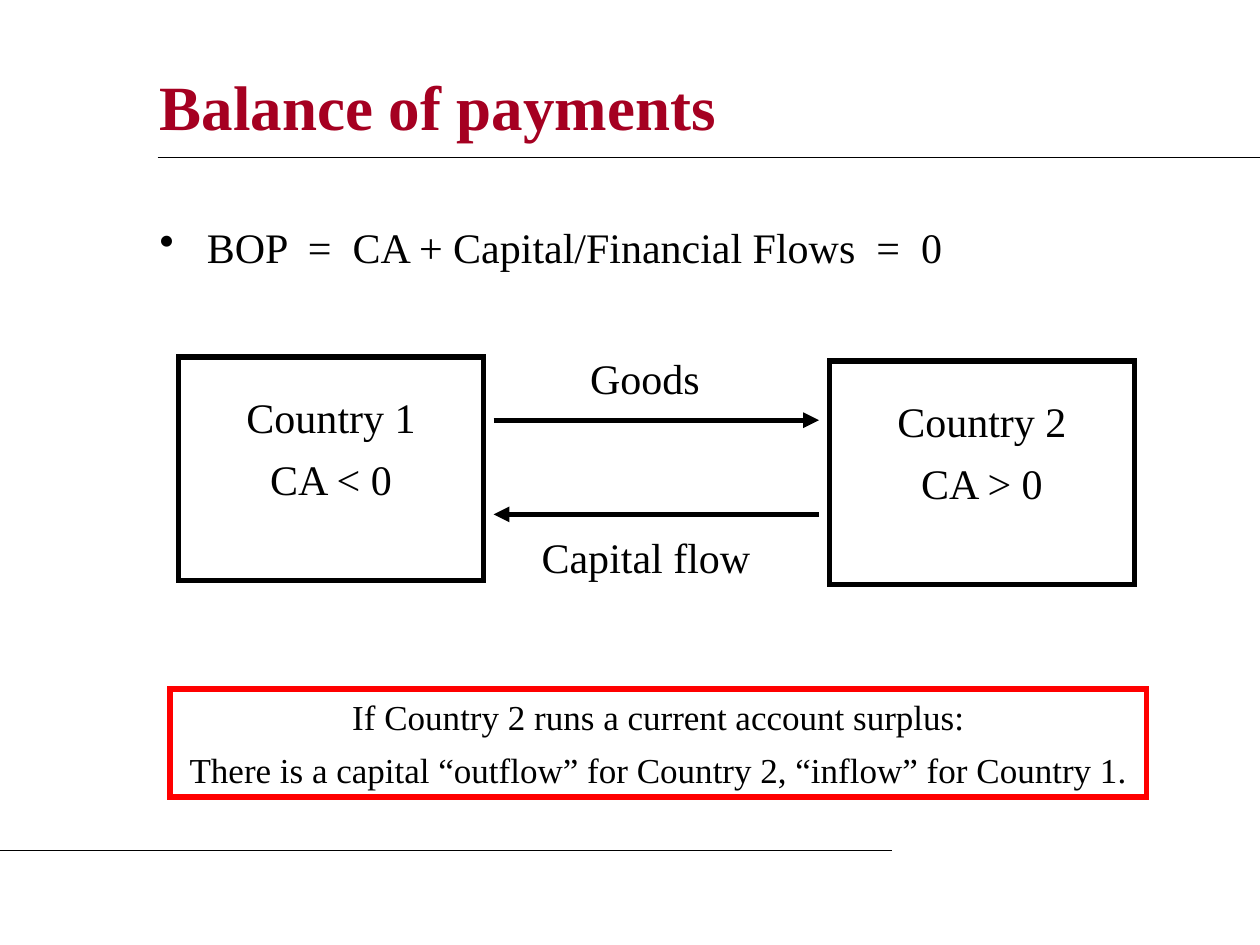
from dataclasses import dataclass

from lxml import etree
from pptx import Presentation
from pptx.dml.color import RGBColor
from pptx.enum.shapes import MSO_CONNECTOR, MSO_SHAPE
from pptx.enum.text import MSO_ANCHOR, PP_ALIGN
from pptx.oxml.ns import qn
from pptx.slide import Slide
from pptx.text.text import TextFrame
from pptx.util import Cm, Pt

BLACK = RGBColor(0x00, 0x00, 0x00)
RED = RGBColor(0xFF, 0x00, 0x00)
CRIMSON = RGBColor(0xA5, 0x00, 0x21)
FONT = "Times New Roman"
RECTANGLE = MSO_SHAPE.RECTANGLE
STRAIGHT = MSO_CONNECTOR.STRAIGHT
LEFT, CENTER = PP_ALIGN.LEFT, PP_ALIGN.CENTER
TOP, MIDDLE = MSO_ANCHOR.TOP, MSO_ANCHOR.MIDDLE


@dataclass(frozen=True)
class Block:
    """Text with its place in cm; a border makes it a framed box."""
    left: float
    top: float
    width: float
    height: float
    lines: tuple[str, ...]
    size: int = 24
    color: RGBColor = BLACK
    bold: bool = False
    align: PP_ALIGN = CENTER
    anchor: MSO_ANCHOR = TOP
    border: RGBColor | None = None
    inset_x: float = 0.25
    inset_y: float = 0.13
    spacing: float = 1.0
    gap: float = 0


@dataclass(frozen=True)
class Rule:
    """Horizontal line in cm, from start to end."""
    start: float
    end: float
    y: float
    weight: float = 0.75
    arrow: bool = False


def country(left: float, top: float, name: str, balance: str) -> Block:
    return Block(left, top, 6.15, 4.5, (name, balance), border=BLACK,
                 inset_x=1.27, inset_y=0.98, spacing=0.7, gap=15)


TITLE = Block(2.97, 0.86, 22.43, 2.54, ("Balance of payments",), size=36,
              color=CRIMSON, bold=True, align=LEFT, anchor=MIDDLE)
IDENTITY = Block(2.97, 4.33, 20.12, 1.5,
                 ("BOP  =  CA + Capital/Financial Flows  =  0",), align=LEFT)
COUNTRIES = (
    country(3.6, 7.2, "Country 1", "CA < 0"),
    country(16.72, 7.28, "Country 2", "CA > 0"),
)
FLOW_LABELS = (
    Block(10.59, 10.59, 5.08, 1.27, ("Capital flow ",)),
    Block(11.4, 6.97, 3.2, 1.27, ("Goods",)),
)
CONCLUSION = Block(
    3.43, 13.89, 19.69, 2.18,
    ("If Country 2 runs a current account surplus:",
     "There is a capital “outflow” for Country 2, “inflow” for Country 1."),
    size=20, border=RED, inset_x=0.2, gap=6.2)
RULES = (
    Rule(3.18, 25.4, 3.18),
    Rule(0, 17.99, 17.15),
    Rule(9.95, 16.51, 8.47, 3, arrow=True),
    Rule(16.51, 9.95, 10.37, 3, arrow=True),
)


def apply(target: object, values: dict[str, object]) -> None:
    for name, value in values.items():
        setattr(target, name, value)


def draw_block(slide: Slide, block: Block) -> TextFrame:
    place = [Cm(v) for v in (block.left, block.top, block.width, block.height)]
    if block.border is None:
        shape = slide.shapes.add_textbox(*place)
    else:
        shape = slide.shapes.add_shape(RECTANGLE, *place)
        shape.shadow.inherit = False
        shape.fill.background()
        shape.line.color.rgb = block.border
        shape.line.width = Pt(3)
        # Square corners
        etree.SubElement(shape.line._get_or_add_ln(), qn("a:miter"), lim="800000")
    frame = shape.text_frame
    apply(frame, {
        "word_wrap": True, "vertical_anchor": block.anchor,
        "margin_left": Cm(block.inset_x), "margin_right": Cm(block.inset_x),
        "margin_top": Cm(block.inset_y), "margin_bottom": Cm(block.inset_y),
    })
    for index, line in enumerate(block.lines):
        paragraph = frame.add_paragraph() if index else frame.paragraphs[0]
        apply(paragraph, {
            "alignment": block.align, "line_spacing": block.spacing,
            "space_before": Pt(block.gap if index else 0),
        })
        run = paragraph.add_run()
        apply(run, {"text": line})
        apply(run.font, {"name": FONT, "size": Pt(block.size), "bold": block.bold})
        run.font.color.rgb = block.color
    return frame


def draw_rule(slide: Slide, rule: Rule) -> None:
    connector = slide.shapes.add_connector(
        STRAIGHT, Cm(rule.start), Cm(rule.y), Cm(rule.end), Cm(rule.y))
    connector.line.color.rgb = BLACK
    connector.line.width = Pt(rule.weight)
    if rule.arrow:
        etree.SubElement(connector.line._get_or_add_ln(), qn("a:tailEnd"),
                         type="triangle")
    etree.SubElement(connector._element.spPr, qn("a:effectLst"))


def add_bullet(frame: TextFrame) -> None:
    properties = frame.paragraphs[0]._p.get_or_add_pPr()
    properties.set("marL", str(Cm(0.95)))
    properties.set("indent", str(Cm(-0.95)))
    etree.SubElement(properties, qn("a:buChar"), char="•")


def main() -> None:
    presentation = Presentation()
    apply(presentation, {"slide_width": Cm(25.4), "slide_height": Cm(19.05)})
    slide = presentation.slides.add_slide(presentation.slide_layouts[6])

    # Heading and the accounting identity
    draw_block(slide, TITLE)
    add_bullet(draw_block(slide, IDENTITY))

    # Dividers and the flows between the countries
    for rule in RULES:
        draw_rule(slide, rule)
    for block in COUNTRIES + FLOW_LABELS:
        draw_block(slide, block)

    # Conclusion
    draw_block(slide, CONCLUSION)

    presentation.save("out.pptx")


if __name__ == "__main__":
    main()
